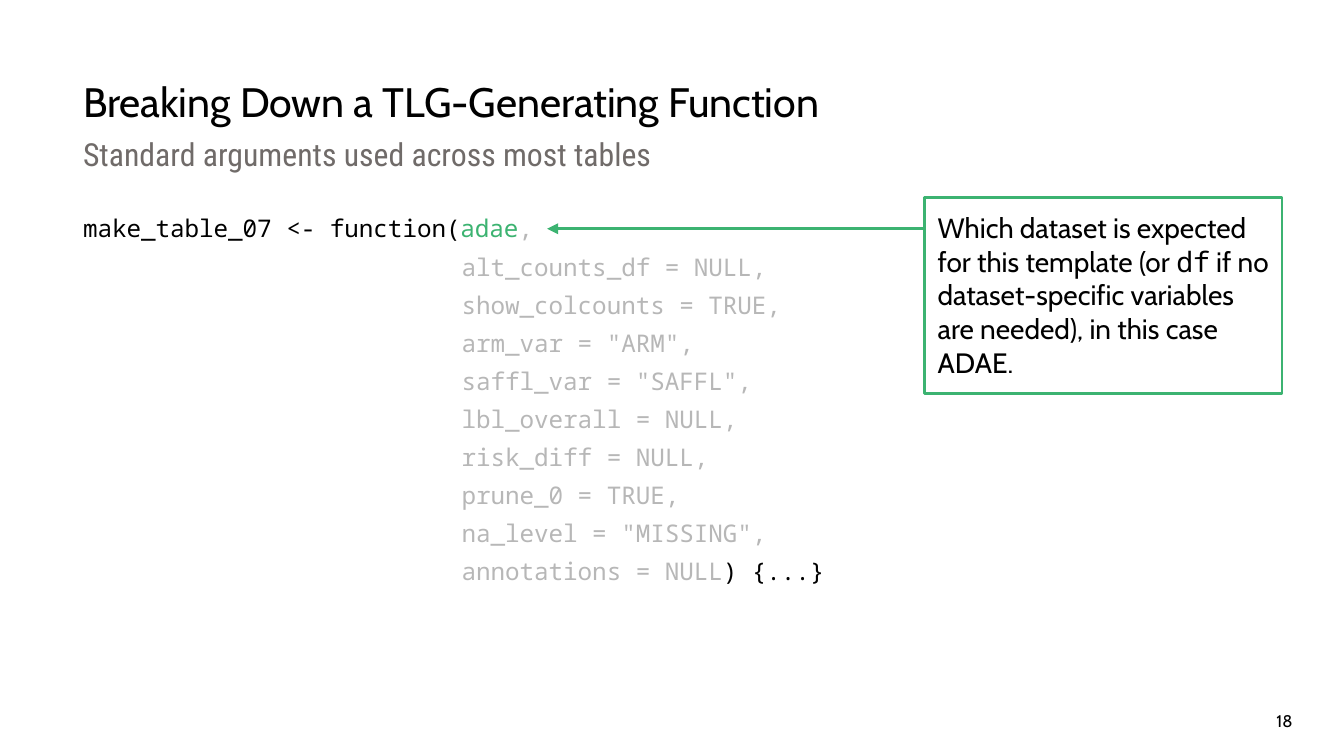
from lxml import etree
from pptx import Presentation
from pptx.dml.color import RGBColor
from pptx.enum.shapes import MSO_CONNECTOR, MSO_SHAPE
from pptx.enum.text import MSO_ANCHOR, PP_ALIGN
from pptx.oxml.ns import qn
from pptx.util import Cm, Pt

# Content
C = {"black": "000000", "subtitle": "706B69", "green": "3CB371", "dim": "B7B7B7"}
SANS, MONO, COND = "Cabin", "Noto Sans Mono", "Roboto Condensed"

TITLE = "Breaking Down a TLG-Generating Function"
SUBTITLE = "Standard arguments used across most tables"
PAGE = "18"
OPENING = "make_table_07 <- function("
ARGUMENTS = [
    "alt_counts_df = NULL,",
    "show_colcounts = TRUE,",
    'arm_var = "ARM",',
    'saffl_var = "SAFFL",',
    "lbl_overall = NULL,",
    "risk_diff = NULL,",
    "prune_0 = TRUE,",
    'na_level = "MISSING",',
    "annotations = NULL",
]
CLOSING = ") {...}"
NOTE = [
    ("Which dataset is expected for this template (or ", SANS),
    ("df", MONO),
    (" if no dataset-specific variables are needed), in this case ADAE.", SANS),
]

# Layout
LEFT = 1.57
CODE_SIZE = 13
ARG_INDENT = Pt(len(OPENING) * CODE_SIZE * 0.6)  # a mono letter is 0.6 em wide
NOTE_X, NOTE_Y, NOTE_W, NOTE_H = 17.47, 3.73, 6.76, 3.71
ARROW_Y, ARROW_TIP = 4.32, 10.34


def add_run(p, text, size, font, color):
    r = p.add_run()
    r.text = text
    r.font.size = Pt(size)
    r.font.name = font
    r.font.color.rgb = RGBColor.from_string(C[color])


def set_frame(tf, insets, anchor=MSO_ANCHOR.TOP):
    tf.word_wrap = True
    tf.vertical_anchor = anchor
    tf.margin_left, tf.margin_top, tf.margin_right, tf.margin_bottom = map(Cm, insets)
    return tf


def add_text(s, box, insets, anchor=MSO_ANCHOR.TOP):
    return set_frame(s.shapes.add_textbox(*map(Cm, box)).text_frame, insets, anchor)


def set_line(sp):
    sp.line.color.rgb = RGBColor.from_string(C["green"])
    sp.line.width = Pt(1.5)


prs = Presentation()
prs.slide_width, prs.slide_height = Cm(25.4), Cm(14.28)
s = prs.slides.add_slide(prs.slide_layouts[6])

# Page number
p = add_text(s, (22.91, 13.23, 1.52, 0.71), (0.25, 0.25, 0, 0.25)).paragraphs[0]
p.alignment = PP_ALIGN.RIGHT
add_run(p, PAGE, 9, SANS, "black")

# Title and subtitle
p = add_text(s, (LEFT, 1.19, 20.65, 1.07), (0, 0.25, 0.25, 0.25)).paragraphs[0]
add_run(p, TITLE, 22, SANS, "black")
p = add_text(s, (LEFT, 2.46, 20.65, 0.89), (0, 0, 0.25, 0.05), MSO_ANCHOR.MIDDLE).paragraphs[0]
p.line_spacing = 1.05
add_run(p, SUBTITLE, 17, COND, "subtitle")

# Code: the opening line, then arguments aligned under the first one
code = [[(OPENING, "black"), ("adae", "green"), (",", "dim")]]
code += [[(arg, "dim")] for arg in ARGUMENTS]
code[-1].append((CLOSING, "black"))
tf = add_text(s, (LEFT, 4.01, 22.86, 9.35), (0, 0, 0, 0))
for i, line in enumerate(code):
    p = tf.add_paragraph() if i else tf.paragraphs[0]
    p.line_spacing, p.space_before = Pt(16.4), Pt(4)
    if i:
        pPr = p._p.get_or_add_pPr()
        pPr.set("marL", str(ARG_INDENT))
        pPr.set("indent", "0")
    for text, color in line:
        add_run(p, text, CODE_SIZE, MONO, color)

# Note box
sp = s.shapes.add_shape(MSO_SHAPE.RECTANGLE, *map(Cm, (NOTE_X, NOTE_Y, NOTE_W, NOTE_H)))
sp.shadow.inherit = False
sp.fill.background()
set_line(sp)
p = set_frame(sp.text_frame, (0.25,) * 4).paragraphs[0]
p.alignment = PP_ALIGN.LEFT
for text, font in NOTE:
    add_run(p, text, 15, font, "black")

# Arrow from the note to the first argument
arrow = s.shapes.add_connector(
    MSO_CONNECTOR.STRAIGHT, Cm(NOTE_X), Cm(ARROW_Y), Cm(ARROW_TIP), Cm(ARROW_Y))
set_line(arrow)
etree.SubElement(arrow.line._get_or_add_ln(), qn("a:tailEnd"), type="triangle")
etree.SubElement(arrow._element.spPr, qn("a:effectLst"))

prs.save("out.pptx")
